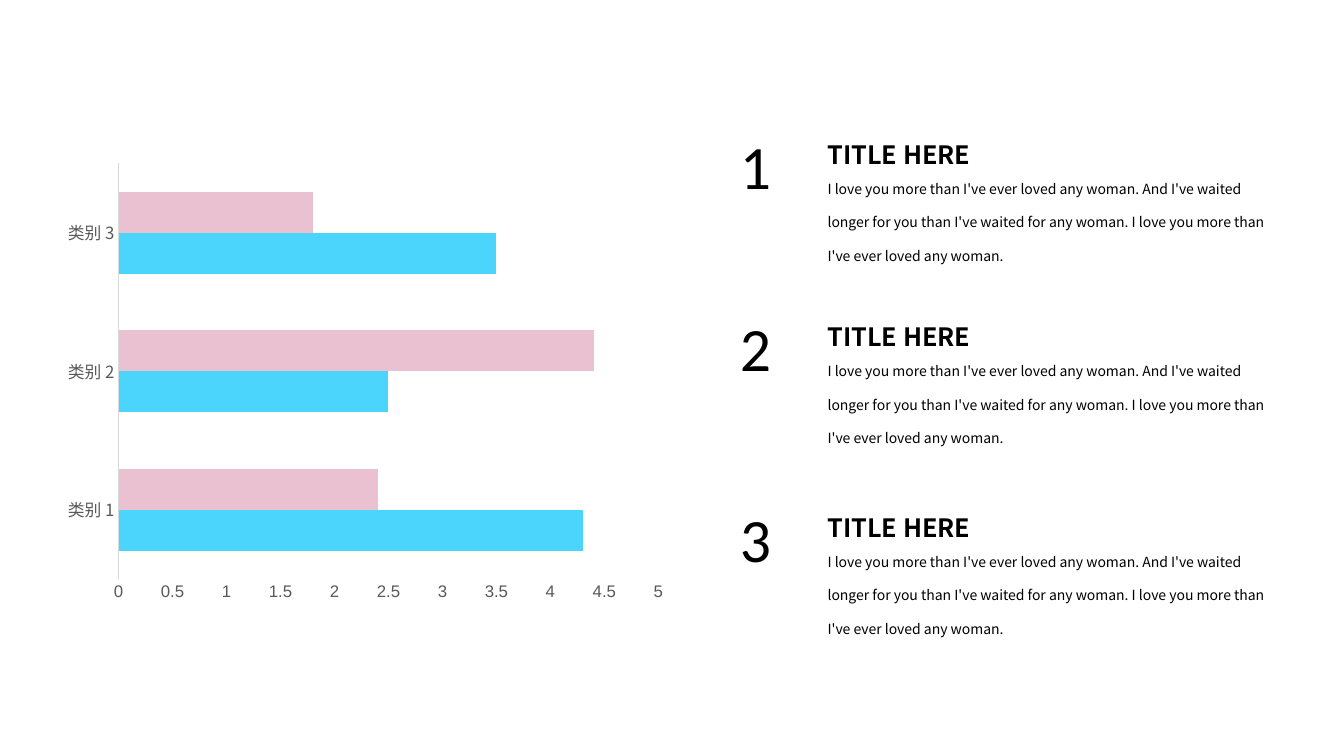
from dataclasses import dataclass

import pptx
import pptx.chart.data
import pptx.dml.color
import pptx.enum.chart
import pptx.enum.text
import pptx.oxml
import pptx.oxml.ns
import pptx.util

Inches = pptx.util.Inches
Pt = pptx.util.Pt
CJK_FONT = "Noto Sans CJK SC"
LABEL_GREY = "595959"
BODY = (
    "I love you more than I've ever loved any woman. And I've waited longer "
    "for you than I've waited for any woman. I love you more than I've ever "
    "loved any woman."
)


@dataclass
class TextPart:
    """One text of a numbered point, placed relative to the point's top."""
    left: float
    drop: float
    width: float
    height: float
    font: dict
    paragraph: dict


@dataclass
class Point:
    number: str
    top: float
    title: str = "TITLE HERE"
    body: str = BODY


@dataclass
class Series:
    name: str
    values: tuple
    color: str


BODY_PART = TextPart(8.11, 0.39, 4.67, 1.05,
                     {"name": CJK_FONT, "size": Pt(10)}, {"line_spacing": 2.0})
TITLE_PART = TextPart(8.11, 0, 1.86, 0.48,
                      {"name": CJK_FONT, "size": Pt(18), "bold": True},
                      {"line_spacing": 1.5,
                       "alignment": pptx.enum.text.PP_ALIGN.JUSTIFY})
NUMBER_PART = TextPart(7.24, 0.04, 0.73, 0.84,
                       {"name": "Calibri", "size": Pt(44)}, {})

POINTS = [Point("1", 1.18), Point("2", 2.99), Point("3", 4.88)]
CATEGORIES = ["类别 1", "类别 2", "类别 3"]
SERIES = [
    Series("Series 1", (4.3, 2.5, 3.5), "4BD4FC"),
    Series("Series 2", (2.4, 4.4, 1.8), "EAC1D0"),
]


def rgb(color: str) -> pptx.dml.color.RGBColor:
    return pptx.dml.color.RGBColor.from_string(color)


def apply_format(target, values: dict) -> None:
    for attribute, value in values.items():
        setattr(target, attribute, value)


def style_font(font, values: dict, color: str) -> None:
    apply_format(font, values)
    font.color.rgb = rgb(color)


def add_text(slide, part: TextPart, top: float, text: str) -> None:
    box = slide.shapes.add_textbox(
        Inches(part.left), Inches(top + part.drop),
        Inches(part.width), Inches(part.height))
    apply_format(box.text_frame, {
        "word_wrap": True,
        "auto_size": pptx.enum.text.MSO_AUTO_SIZE.SHAPE_TO_FIT_TEXT,
    })
    paragraph = box.text_frame.paragraphs[0]
    apply_format(paragraph, part.paragraph)
    run = paragraph.add_run()
    run.text = text
    style_font(run.font, part.font, "000000")


def add_bar_chart(slide) -> None:
    data = pptx.chart.data.CategoryChartData()
    data.categories = CATEGORIES
    for series in SERIES:
        data.add_series(series.name, series.values)
    chart = slide.shapes.add_chart(
        pptx.enum.chart.XL_CHART_TYPE.BAR_CLUSTERED,
        Inches(0.55), Inches(1.53), Inches(6.15), Inches(4.52), data).chart
    apply_format(chart, {"has_legend": False, "has_title": False})
    style_font(chart.font, {"name": "Arial", "size": Pt(12)}, "000000")

    # Bars
    plot = chart.plots[0]
    apply_format(plot, {"gap_width": 138, "overlap": 0,
                        "vary_by_categories": False})
    for bars, series in zip(plot.series, SERIES):
        bars.format.fill.solid()
        bars.format.fill.fore_color.rgb = rgb(series.color)

    # Axes
    no_tick = pptx.enum.chart.XL_TICK_MARK.NONE
    for axis, font_name in ((chart.category_axis, CJK_FONT),
                            (chart.value_axis, "Arial")):
        apply_format(axis, {"major_tick_mark": no_tick,
                            "minor_tick_mark": no_tick,
                            "has_major_gridlines": False})
        style_font(axis.tick_labels.font,
                   {"name": font_name, "size": Pt(12)}, LABEL_GREY)
    apply_format(chart.value_axis, {"minimum_scale": 0, "maximum_scale": 5,
                                    "major_unit": 0.5})
    chart.value_axis.format.line.fill.background()
    category_line = chart.category_axis.format.line
    category_line.color.rgb = rgb("D9D9D9")
    category_line.width = Pt(0.75)

    # Chinese category labels also need the East Asian typeface
    namespace = pptx.oxml.ns.nsdecls("a")
    for latin in chart.category_axis._element.iter(pptx.oxml.ns.qn("a:latin")):
        latin.addnext(pptx.oxml.parse_xml(
            f'<a:ea {namespace} typeface="{CJK_FONT}"/>'))


def main() -> None:
    deck = pptx.Presentation()
    apply_format(deck, {"slide_width": Inches(13.33),
                        "slide_height": Inches(7.5)})
    slide = deck.slides.add_slide(deck.slide_layouts[6])

    # Chart on the left
    add_bar_chart(slide)

    # Numbered points on the right
    for point in POINTS:
        add_text(slide, BODY_PART, point.top, point.body)
        add_text(slide, TITLE_PART, point.top, point.title)
        add_text(slide, NUMBER_PART, point.top, point.number)

    deck.save("out.pptx")


if __name__ == "__main__":
    main()
